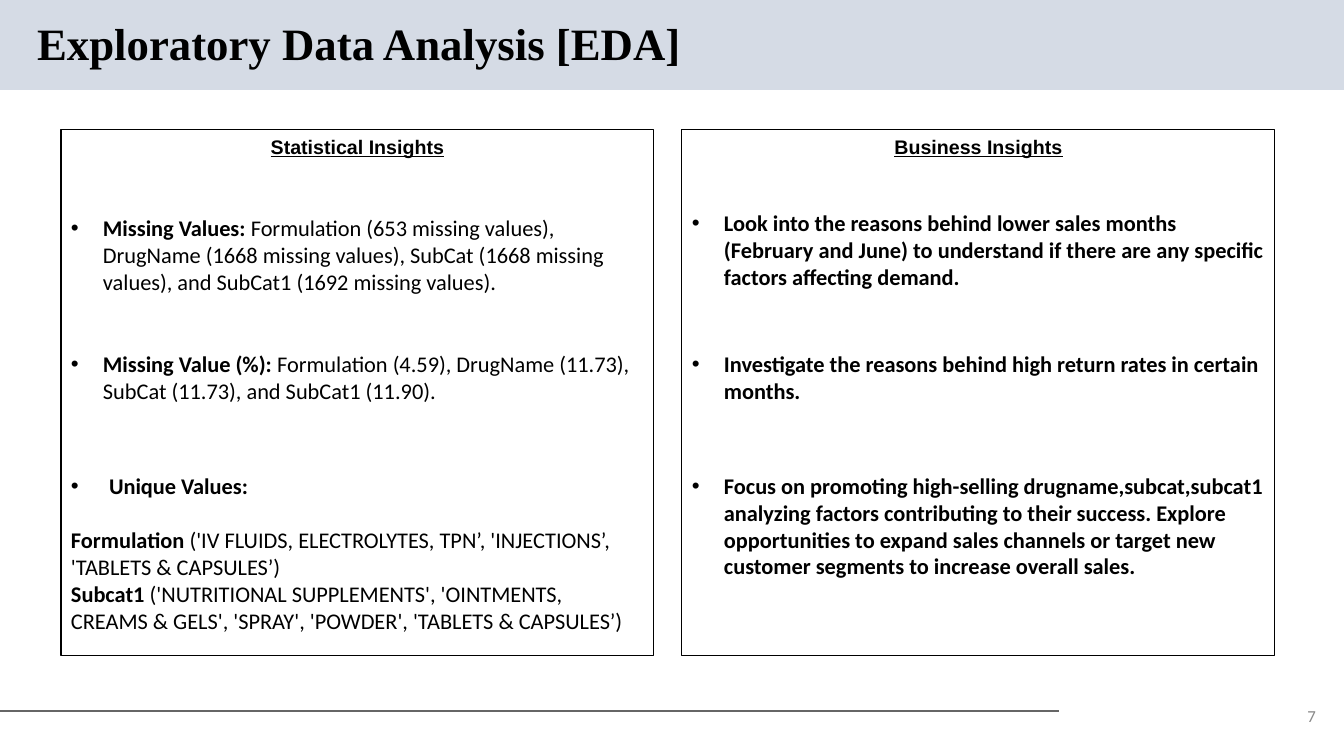
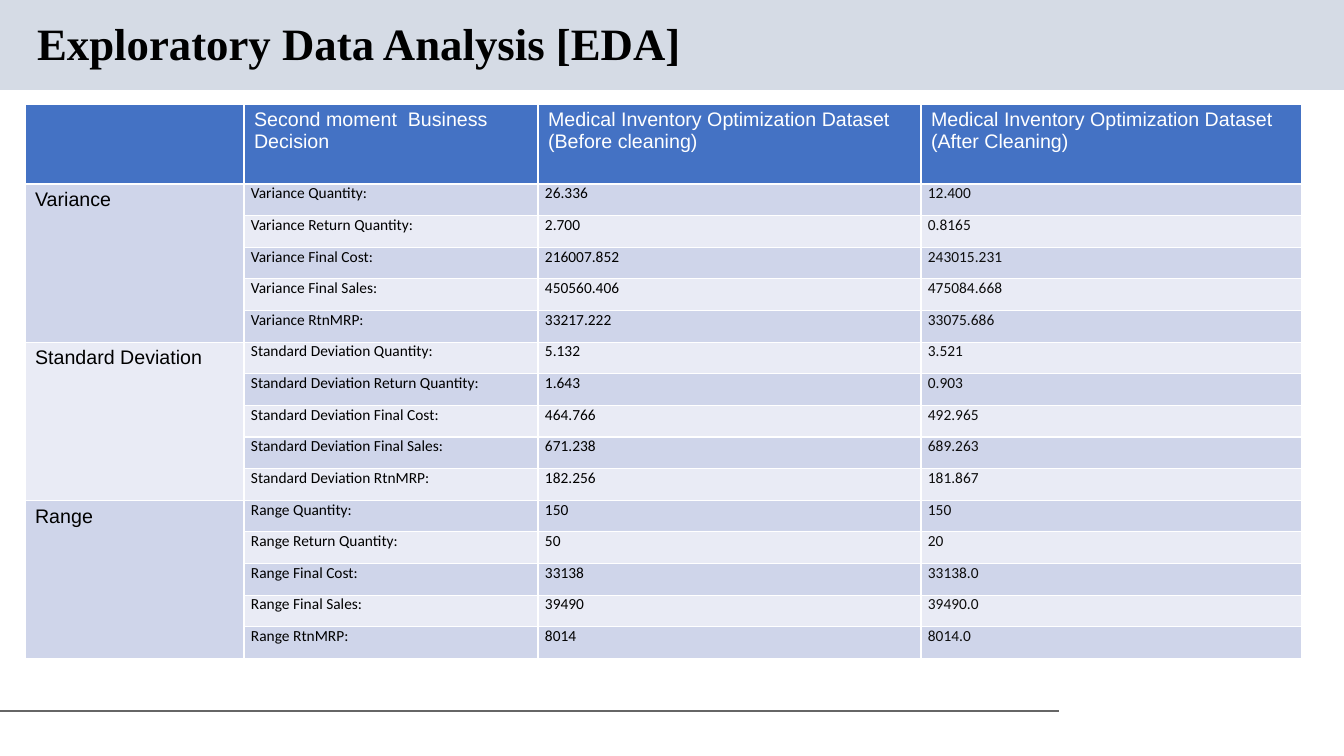
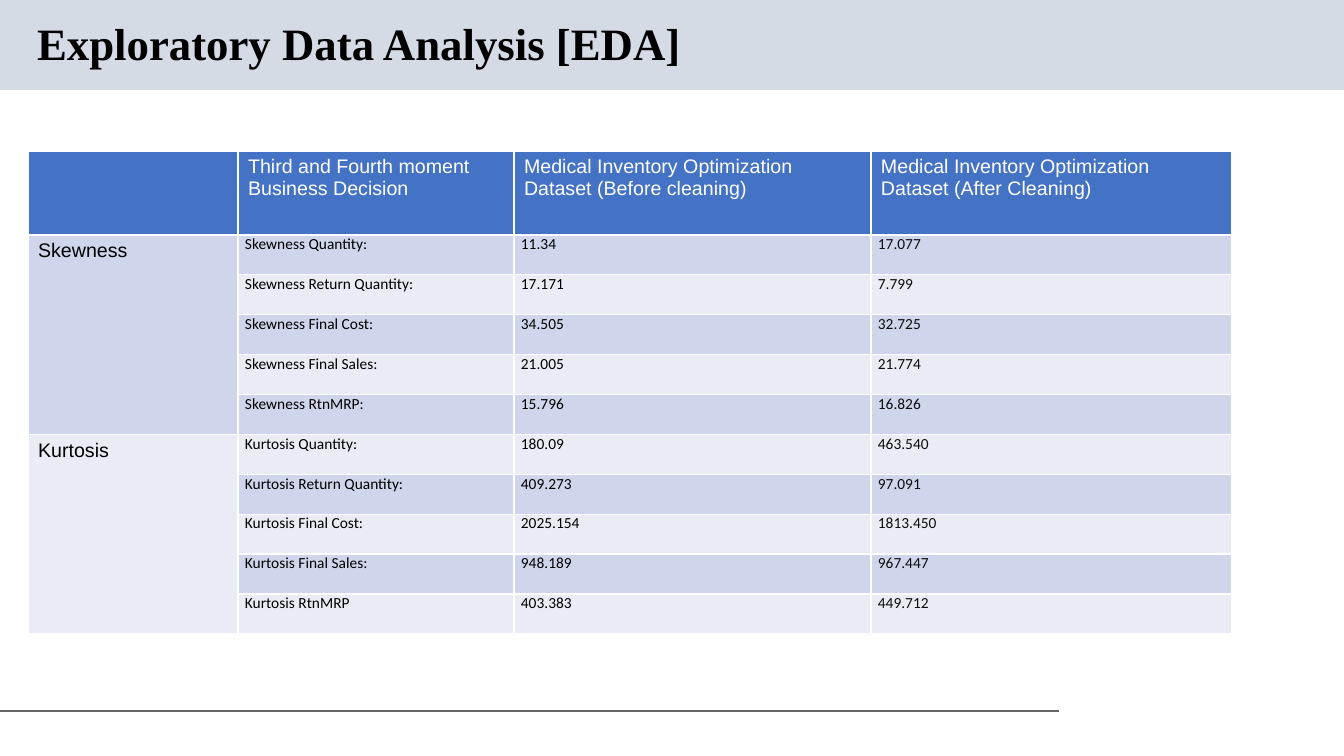
from dataclasses import dataclass
from typing import NamedTuple

from lxml.etree import SubElement
from pptx import Presentation
from pptx.dml.color import RGBColor
from pptx.enum.shapes import MSO_CONNECTOR as Connector, MSO_SHAPE as Shape
from pptx.enum.text import MSO_ANCHOR as Anchor, PP_ALIGN as Align
from pptx.oxml import parse_xml
from pptx.oxml.ns import nsdecls, qn
from pptx.util import Emu, Pt

EMU_PER_PX = 914400 / 100.8
BLACK = RGBColor(0x00, 0x00, 0x00)
NEAR_BLACK = RGBColor(0x0D, 0x0D, 0x0D)
WHITE = RGBColor(0xFF, 0xFF, 0xFF)
BAND_COLOR = RGBColor(0xD5, 0xDB, 0xE5)
RULE_COLOR = RGBColor(0x66, 0x66, 0x66)
NUMBER_COLOR = RGBColor(0x88, 0x88, 0x88)
HEADER_FILL = RGBColor(0x44, 0x72, 0xC4)
ROW_FILLS = (RGBColor(0xCF, 0xD5, 0xEA), RGBColor(0xE9, 0xEB, 0xF5))

TITLE = "Exploratory Data Analysis [EDA]"
MEASURES = ("Quantity", "Return Quantity", "Final Cost", "Final Sales", "RtnMRP")
DATASET = "Medical Inventory Optimization Dataset"


class Box(NamedTuple):
    left: int
    top: int
    width: int
    height: int


class Passage(NamedTuple):
    lead: str
    rest: str = ""


@dataclass(frozen=True)
class Point:
    top: int
    height: int
    passages: tuple[Passage, ...]
    indent: int = 32
    inset: int = 5


@dataclass(frozen=True)
class Panel:
    left: int
    heading: str
    points: tuple[Point, ...]


@dataclass(frozen=True)
class Group:
    name: str
    before: tuple[str, ...]
    after: tuple[str, ...]
    last_mark: str = ":"

    def rows(self) -> list[tuple[str, str, str]]:
        marks = [":"] * (len(MEASURES) - 1) + [self.last_mark]
        labels = [f"{self.name} {measure}{mark}" for measure, mark in zip(MEASURES, marks)]
        return list(zip(labels, self.before, self.after))


@dataclass(frozen=True)
class MomentTable:
    heading: str
    left: int
    top: int
    columns: tuple[int, ...]
    header_height: int
    body_height: int
    groups: tuple[Group, ...]


PANEL_TOP, PANEL_WIDTH, PANEL_HEIGHT = 130, 593, 526
PANELS = (
    Panel(61, "Statistical Insights", (
        Point(204, 102, (Passage(
            "Missing Values: ",
            "Formulation (653 missing values), DrugName (1668 missing values), "
            "SubCat (1668 missing values), and SubCat1 (1692 missing values).",
        ),), inset=10),
        Point(345, 65, (Passage(
            "Missing Value (%): ",
            "Formulation (4.59), DrugName (11.73), SubCat (11.73), and SubCat1 (11.90).",
        ),)),
        Point(467, 173, (
            Passage("Unique Values:"),
            Passage("Formulation", " ('IV FLUIDS, ELECTROLYTES, TPN’, 'INJECTIONS’, "
                    "'TABLETS & CAPSULES’)"),
            Passage("Subcat1", " ('NUTRITIONAL SUPPLEMENTS', 'OINTMENTS, CREAMS & GELS', "
                    "'SPRAY', 'POWDER', 'TABLETS & CAPSULES’)"),
        ), indent=38),
    )),
    Panel(682, "Business Insights", (
        Point(204, 115, (Passage(
            "Look into the reasons behind lower sales months (February and June) to "
            "understand if there are any specific factors affecting demand."),)),
        Point(345, 89, (Passage(
            "Investigate the reasons behind high return rates in certain months."),)),
        Point(467, 169, (Passage(
            "Focus on promoting high-selling drugname,subcat,subcat1 analyzing factors "
            "contributing to their success. Explore opportunities to expand sales channels "
            "or target new customer segments to increase overall sales."),)),
    )),
)

TABLES = (
    MomentTable("Second moment  Business Decision", 25, 104, (219, 294, 383, 381), 80, 475, (
        Group("Variance",
              ("26.336", "2.700", "216007.852", "450560.406", "33217.222"),
              ("12.400", "0.8165", "243015.231", "475084.668", "33075.686")),
        Group("Standard Deviation",
              ("5.132", "1.643", "464.766", "671.238", "182.256"),
              ("3.521", "0.903", "492.965", "689.263", "181.867")),
        Group("Range",
              ("150", "50", "33138", "39490", "8014"),
              ("150", "20", "33138.0", "39490.0", "8014.0")),
    )),
    MomentTable("Third and Fourth moment  Business Decision", 28, 151, (210, 276, 357, 361), 84, 399, (
        Group("Skewness",
              ("11.34", "17.171", "34.505", "21.005", "15.796"),
              ("17.077", "7.799", "32.725", "21.774", "16.826")),
        Group("Kurtosis",
              ("180.09", "409.273", "2025.154", "948.189", "403.383"),
              ("463.540", "97.091", "1813.450", "967.447", "449.712"), last_mark=""),
    )),
)


def px(length: int) -> Emu:
    return Emu(round(length * EMU_PER_PX))


def write(paragraph, text: str, *, size: int, font: str = "Calibri",
          color: RGBColor = BLACK, bold: bool = False, underline: bool = False,
          align: Align = Align.LEFT) -> None:
    paragraph.alignment = align
    run = paragraph.add_run()
    run.text = text
    run.font.size = Pt(size)
    run.font.name = font
    run.font.color.rgb = color
    run.font.bold = bold
    run.font.underline = underline


def add_text_frame(slide, box: Box, inset: int = 5):
    frame = slide.shapes.add_textbox(*map(px, box)).text_frame
    frame.word_wrap = True
    frame.margin_left = frame.margin_right = px(10)
    frame.margin_top = frame.margin_bottom = px(inset)
    return frame


def add_rectangle(slide, box: Box):
    shape = slide.shapes.add_shape(Shape.RECTANGLE, *map(px, box))
    shape.shadow.inherit = False
    return shape


def set_bullet(paragraph, indent: int) -> None:
    properties = paragraph._p.get_or_add_pPr()
    properties.set("marL", str(px(indent)))
    properties.set("indent", str(-px(indent)))
    SubElement(properties, qn("a:buFont"), typeface="Arial")
    SubElement(properties, qn("a:buChar"), char="•")


def furnish_layout(slide, layout) -> None:
    for placeholder in list(layout.placeholders)[1:]:
        placeholder.element.getparent().remove(placeholder.element)
    band = add_rectangle(slide, Box(0, 0, 1344, 90))
    band.fill.solid()
    band.fill.fore_color.rgb = BAND_COLOR
    band.line.fill.background()
    rule = slide.shapes.add_connector(Connector.STRAIGHT, 0, px(711), px(1059), px(711))
    rule.line.color.rgb = RULE_COLOR
    rule.line.width = Pt(0.75)
    SubElement(rule.element.spPr, qn("a:effectLst"))
    for position, shape in enumerate((band, rule), start=2):
        layout.shapes.element.insert(position, shape.element)


def add_titled_slide(presentation, layout):
    slide = presentation.slides.add_slide(layout)
    title = slide.shapes.title
    title.left, title.top, title.width, title.height = map(px, Box(27, 16, 1019, 59))
    frame = title.text_frame
    frame.vertical_anchor = Anchor.MIDDLE
    frame.word_wrap = True
    paragraph = frame.paragraphs[0]
    paragraph.line_spacing = 0.9
    write(paragraph, TITLE, size=32, font="Times New Roman", bold=True)
    return slide


def add_point(slide, left: int, point: Point) -> None:
    box = Box(left, point.top, PANEL_WIDTH, point.height)
    frame = add_text_frame(slide, box, point.inset)
    for index, passage in enumerate(point.passages):
        paragraph = frame.add_paragraph() if index else frame.paragraphs[0]
        write(paragraph, passage.lead, size=16, bold=True)
        if passage.rest:
            write(paragraph, passage.rest, size=16)
        if index == 0:
            if len(point.passages) > 1:
                paragraph.space_after = Pt(19.5)
            set_bullet(paragraph, point.indent)


def add_panel(slide, panel: Panel) -> None:
    outline = add_rectangle(slide, Box(panel.left, PANEL_TOP, PANEL_WIDTH, PANEL_HEIGHT))
    outline.fill.background()
    outline.line.color.rgb = BLACK
    outline.line.width = Pt(0.75)
    heading = add_text_frame(slide, Box(panel.left, PANEL_TOP, PANEL_WIDTH, 34))
    write(heading.paragraphs[0], panel.heading, size=14, font="Arial",
          bold=True, underline=True, align=Align.CENTER)
    for point in panel.points:
        add_point(slide, panel.left, point)


def add_page_number(slide, number: str) -> None:
    frame = add_text_frame(slide, Box(1283, 700, 43, 32))
    frame.vertical_anchor = Anchor.MIDDLE
    write(frame.paragraphs[0], number, size=12, color=NUMBER_COLOR, align=Align.RIGHT)


def style_cell(cell, fill: RGBColor) -> None:
    cell.fill.solid()
    cell.fill.fore_color.rgb = fill
    properties = cell._tc.get_or_add_tcPr()
    for position, side in enumerate("LRTB"):
        properties.insert(position, parse_xml(
            f'<a:ln{side} {nsdecls("a")} w="{Pt(1)}"><a:solidFill>'
            f'<a:srgbClr val="{WHITE}"/></a:solidFill></a:ln{side}>'))


def fill_value_cell(cell, text: str, color: RGBColor) -> None:
    cell.margin_left = cell.margin_right = px(7)
    cell.margin_top = cell.margin_bottom = 0
    write(cell.text_frame.paragraphs[0], text, size=11, color=color)


def add_moment_table(slide, content: MomentTable) -> None:
    row_count = len(content.groups) * len(MEASURES)
    box = Box(content.left, content.top, sum(content.columns),
              content.header_height + content.body_height)
    table = slide.shapes.add_table(row_count + 1, len(content.columns), *map(px, box)).table
    for column, width in zip(table.columns, content.columns):
        column.width = px(width)
    for index, row in enumerate(table.rows):
        row.height = Emu(px(content.body_height) // row_count) if index else px(content.header_height)
        fill = ROW_FILLS[(index - 1) % 2] if index else HEADER_FILL
        for cell in row.cells:
            style_cell(cell, fill)

    headings = (content.heading, f"{DATASET} (Before cleaning)", f"{DATASET} (After Cleaning)")
    for column, heading in enumerate(headings, start=1):
        write(table.cell(0, column).text_frame.paragraphs[0], heading,
              size=14, font="Arial", color=WHITE)

    for group_index, group in enumerate(content.groups):
        first_row = 1 + group_index * len(MEASURES)
        name_cell = table.cell(first_row, 0)
        name_cell.merge(table.cell(first_row + len(MEASURES) - 1, 0))
        write(name_cell.text_frame.paragraphs[0], group.name, size=14, font="Arial")
        for row, values in enumerate(group.rows(), start=first_row):
            for column, (text, color) in enumerate(zip(values, (BLACK, BLACK, NEAR_BLACK)), start=1):
                fill_value_cell(table.cell(row, column), text, color)


def main() -> None:
    presentation = Presentation()
    presentation.slide_width, presentation.slide_height = px(1344), px(756)
    layout = presentation.slide_layouts[5]

    insights = add_titled_slide(presentation, layout)
    furnish_layout(insights, layout)
    for panel in PANELS:
        add_panel(insights, panel)
    add_page_number(insights, "7")

    for content in TABLES:
        add_moment_table(add_titled_slide(presentation, layout), content)

    presentation.save("out.pptx")


if __name__ == "__main__":
    main()
